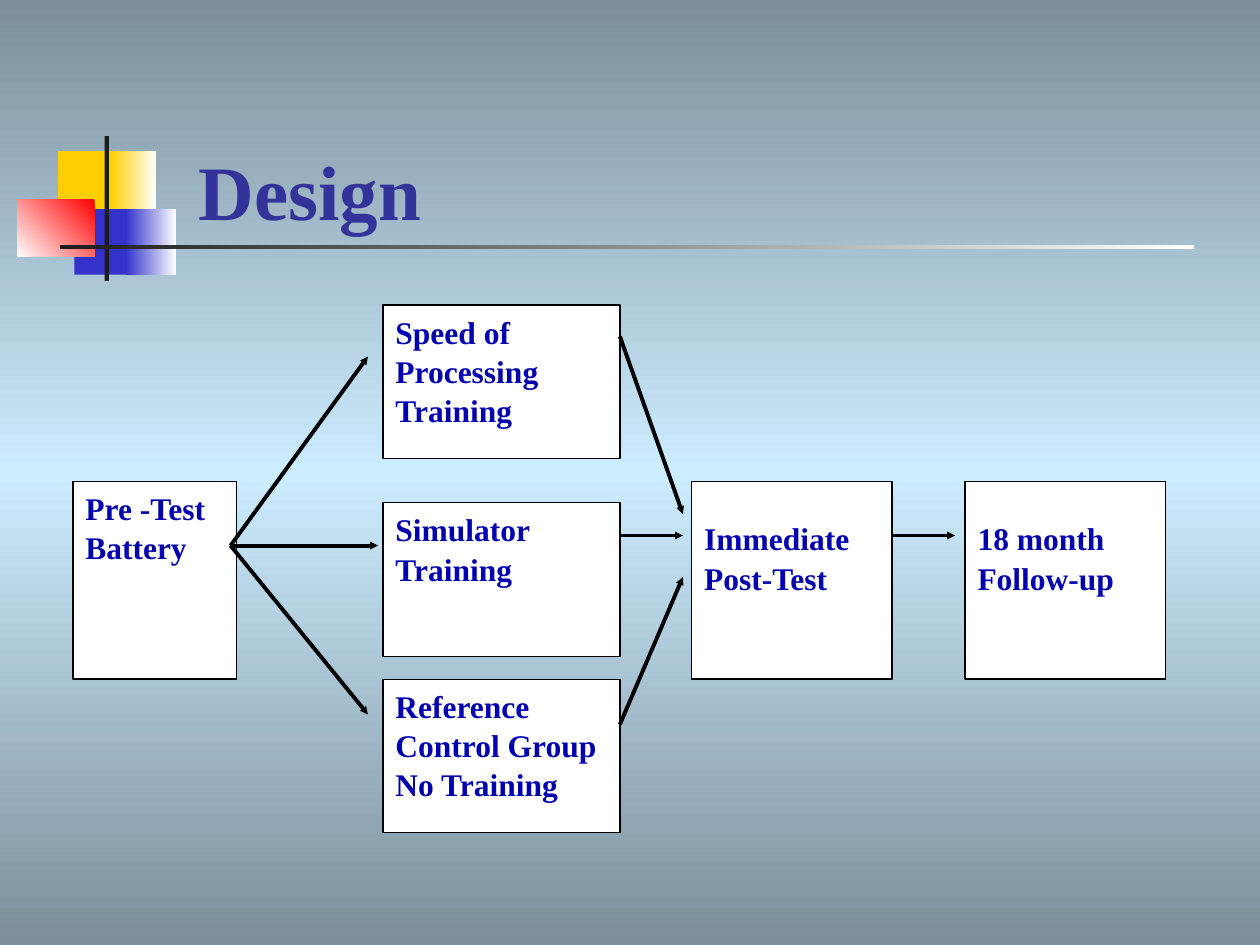
from dataclasses import dataclass

import pptx
import pptx.dml.color
import pptx.enum.shapes
import pptx.enum.text
import pptx.oxml.ns
import pptx.util
from lxml import etree

WIDTH, HEIGHT = pptx.util.Inches(10), pptx.util.Inches(7.5)
COLUMNS, ROWS = 100, 75


@dataclass(frozen=True)
class Theme:
    font: str = "Times New Roman"
    title_size: float = 44
    body_size: float = 18
    body_leading: float = 1.04
    title: str = "333399"
    body: str = "0000B0"
    edge: str = "7B8E9A"
    middle: str = "CCECFF"
    white: str = "FFFFFF"
    black: str = "000000"
    ink: str = "1C1C1C"
    yellow: str = "FFCF01"
    blue: str = "3333CC"
    red: str = "FF0000"
    border: float = 0.75
    arrow: float = 2.25


THEME = Theme()

TRAINING_COLUMN, TRAINING_SIZE = 30.4, (18.8, 12.2)
TEST_ROW, TEST_SIZE = 38.2, (15.9, 15.7)
FORK = (18.3, 43.3)
TRAINING_RIGHT, POST_ARROW_END = 49.2, 54.2
LOWERED_INSET = 2.9


def across(columns):
    return round(WIDTH * columns / COLUMNS)


def down(rows):
    return round(HEIGHT * rows / ROWS)


def frame(left, top, width, height):
    return across(left), down(top), across(width), down(height)


def color(code):
    return pptx.dml.color.RGBColor.from_string(code)


def fill_gradient(fill, element, colors, angle):
    """Spread the colors evenly; the angle is clockwise."""
    fill.gradient()
    fill.gradient_angle = 360 - angle
    name = pptx.oxml.ns.qn
    stops = element.find(".//" + name("a:gsLst"))
    for stop in list(stops):
        stops.remove(stop)
    for index, code in enumerate(colors):
        position = str(100000 * index // (len(colors) - 1))
        stop = etree.SubElement(stops, name("a:gs"), pos=position)
        etree.SubElement(stop, name("a:srgbClr"), val=code)


def add_rectangle(page, area, colors, angle=180):
    """One color gives a solid fill, more give a gradient."""
    box = page.shapes.add_shape(
        pptx.enum.shapes.MSO_SHAPE.RECTANGLE, *frame(*area))
    box.shadow.inherit = False
    box.line.fill.background()
    if len(colors) == 1:
        box.fill.solid()
        box.fill.fore_color.rgb = color(colors[0])
    else:
        fill_gradient(box.fill, box._element, colors, angle)
    return box


def write(box, lines, size, code, anchor, leading=1.0):
    text = box.text_frame
    text.word_wrap = True
    text.vertical_anchor = anchor
    for index, line in enumerate(lines):
        para = text.add_paragraph() if index else text.paragraphs[0]
        para.alignment = pptx.enum.text.PP_ALIGN.LEFT
        para.line_spacing = leading
        span = para.add_run()
        span.text = line
        span.font.name = THEME.font
        span.font.size = pptx.util.Pt(size)
        span.font.bold = True
        span.font.color.rgb = color(code)


def add_stage(page, area, lines, top_inset=0.5):
    box = add_rectangle(page, area, [THEME.white])
    box.line.color.rgb = color(THEME.black)
    box.line.width = pptx.util.Pt(THEME.border)
    box.text_frame.margin_top = down(top_inset)
    write(box, lines, THEME.body_size, THEME.body,
          pptx.enum.text.MSO_ANCHOR.TOP, THEME.body_leading)


def add_arrow(page, start, end):
    arrow = page.shapes.add_connector(
        pptx.enum.shapes.MSO_CONNECTOR.STRAIGHT,
        across(start[0]), down(start[1]), across(end[0]), down(end[1]))
    arrow.line.color.rgb = color(THEME.black)
    arrow.line.width = pptx.util.Pt(THEME.arrow)
    name = pptx.oxml.ns.qn
    etree.SubElement(arrow.line._get_or_add_ln(), name("a:tailEnd"),
                     type="triangle", w="sm", len="sm")
    etree.SubElement(arrow._element.spPr, name("a:effectLst"))


def add_ornament(page):
    add_rectangle(page, (4.6, 12, 4.8, 5.2), [THEME.yellow])
    add_rectangle(page, (8.8, 12, 3.6, 5.2), [THEME.white, THEME.yellow])
    add_rectangle(page, (5.9, 16.6, 4.6, 5.2), [THEME.blue])
    add_rectangle(page, (10, 16.6, 4, 5.2), [THEME.white, THEME.blue])
    add_rectangle(page, (1.4, 15.8, 6.1, 4.6), [THEME.red, THEME.white], 135)
    add_rectangle(page, (8.3, 10.8, 0.35, 11.5), [THEME.ink])
    add_rectangle(page, (4.8, 19.45, 90, 0.35), [THEME.white, THEME.ink])


def add_title(page, title):
    box = page.shapes.add_textbox(*frame(14.8, 6.7, 85.2, 12.5))
    write(box, [title], THEME.title_size, THEME.title,
          pptx.enum.text.MSO_ANCHOR.BOTTOM)


def add_stages(page):
    add_stage(page, (5.8, TEST_ROW, 13, TEST_SIZE[1]),
              ["Pre -Test", "Battery"])
    trainings = [
        (24.2, ["Speed of Processing Training"]),
        (39.9, ["Simulator Training"]),
        (53.9, ["Reference Control Group", "No Training"]),
    ]
    for row, lines in trainings:
        add_stage(page, (TRAINING_COLUMN, row, *TRAINING_SIZE), lines)
    tests = [(54.9, ["Immediate", "Post-Test"]),
             (76.6, ["18 month", "Follow-up"])]
    for column, lines in tests:
        add_stage(page, (column, TEST_ROW, *TEST_SIZE), lines, LOWERED_INSET)


def add_arrows(page):
    for end in [(29.2, 28.3), (30, FORK[1]), (29.2, 56.7)]:
        add_arrow(page, FORK, end)
    for start_row, end_row in [(42.5, 42.5), (26.7, 40.8), (57.5, 45.8)]:
        add_arrow(page, (TRAINING_RIGHT, start_row),
                  (POST_ARROW_END, end_row))
    add_arrow(page, (70.8, 42.5), (75.8, 42.5))


def main():
    deck = pptx.Presentation()
    deck.slide_width, deck.slide_height = WIDTH, HEIGHT
    page = deck.slides.add_slide(deck.slide_layouts[6])
    fill_gradient(page.background.fill, page._element,
                  [THEME.edge, THEME.middle, THEME.edge], 90)
    add_ornament(page)
    add_stages(page)
    add_arrows(page)
    add_title(page, "Design")
    deck.save("out.pptx")


if __name__ == "__main__":
    main()
